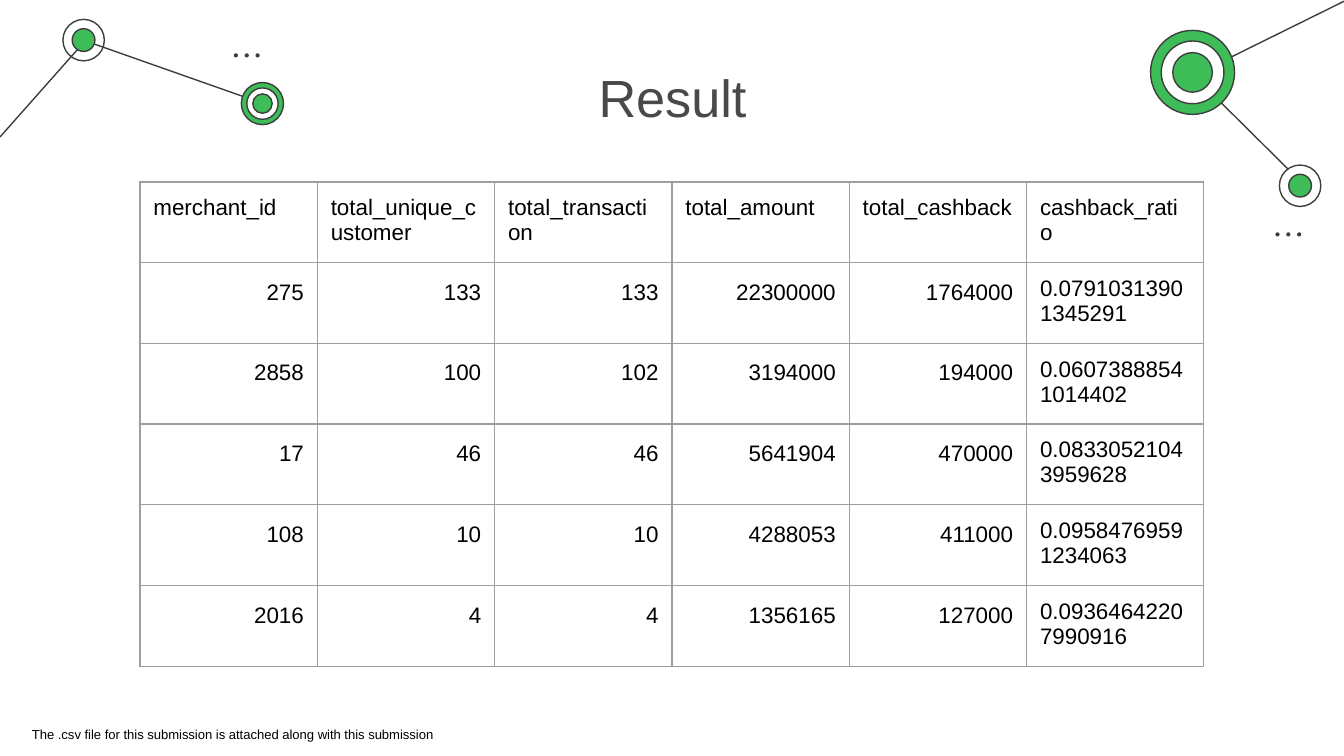
from pptx import Presentation
from pptx.dml.color import RGBColor
from pptx.enum.shapes import MSO_CONNECTOR, MSO_SHAPE
from pptx.enum.text import MSO_ANCHOR, PP_ALIGN
from pptx.oxml import parse_xml
from pptx.oxml.ns import nsdecls
from pptx.util import Pt
from lxml.etree import SubElement

HUES = {"dark": "3D3D3D", "green": "3DBC58", "white": "FFFFFF",
        "title": "494949", "text": "000000", "grid": "9E9E9E"}

deck = Presentation()
deck.slide_width, deck.slide_height = Pt(720), Pt(405)
slide = deck.slides.add_slide(deck.slide_layouts[6])
shapes = slide.shapes


def disc(x, y, size, fill, edge):
    """Draw a circle centred on x, y."""
    dot = shapes.add_shape(MSO_SHAPE.OVAL, Pt(x - size / 2), Pt(y - size / 2),
                           Pt(size), Pt(size))
    dot.shadow.inherit = False
    if fill:
        dot.fill.solid()
        dot.fill.fore_color.rgb = RGBColor.from_string(HUES[fill])
    else:
        dot.fill.background()
    if edge:
        dot.line.color.rgb = RGBColor.from_string(HUES["dark"])
        dot.line.width = Pt(0.75)
    else:
        dot.line.fill.background()


def write(frame, text, size, hue, align=PP_ALIGN.LEFT, space=None):
    """Put one formatted paragraph in a text frame."""
    frame.word_wrap = True
    par = frame.paragraphs[0]
    par.alignment = align
    if space:
        par.line_spacing = space
    run = par.add_run()
    run.text = text
    look = {"name": "Arial", "size": Pt(size), "bold": False}
    for key, value in look.items():
        setattr(run.font, key, value)
    run.font.color.rgb = RGBColor.from_string(HUES[hue])


# Network lines: start x, start y, end x, end y
links = [(696.5, 97, 638.5, 39.5), (46, 22, 141, 55.5),
         (0, 73.4, 46, 21.5), (720, 0.7, 641.5, 39.5)]
for x1, y1, x2, y2 in links:
    link = shapes.add_connector(MSO_CONNECTOR.STRAIGHT,
                                Pt(x1), Pt(y1), Pt(x2), Pt(y2))
    link.line.color.rgb = RGBColor.from_string(HUES["dark"])
    link.line.width = Pt(0.75)
    SubElement(link._element.spPr,
               "{http://schemas.openxmlformats.org/drawingml/2006/main}effectLst")

# Network nodes: centre, then rings from the outside in
nodes = [
    (44.8, 21.5, [(22.2, None), (12.2, "green")]),
    (140.6, 55.5, [(22.6, "green"), (16.8, "white"), (10.4, "green")]),
    (638.9, 38.8, [(45, "green"), (33.6, "white"), (21.2, "green")]),
    (696.5, 99.5, [(22.2, "white"), (12.2, "green")]),
]
for x, y, rings in nodes:
    for size, fill in rings:
        disc(x, y, size, fill, True)

# Dotted accents
for left, y in [(126.4, 29.7), (684.4, 125.6)]:
    for step in range(3):
        disc(left + step * 5.8, y, 2.2, "dark", False)

# Title and footnote
notes = [
    ("Result", 28, "title", PP_ALIGN.CENTER, (123.8, 25.2, 473, 46.8), 10),
    ("The .csv file for this submission is attached along with this submission",
     7, "text", PP_ALIGN.LEFT, (10, 385, 250, 23), 7.2),
]
for text, size, hue, align, box, top in notes:
    frame = shapes.add_textbox(*map(Pt, box)).text_frame
    look = {"margin_left": Pt(7.2), "margin_right": Pt(7.2),
            "margin_top": Pt(top), "margin_bottom": Pt(7.2),
            "vertical_anchor": MSO_ANCHOR.TOP}
    for key, value in look.items():
        setattr(frame, key, value)
    write(frame, text, size, hue, align)

# Result table
rows = [
    ["merchant_id", "total_unique_customer", "total_transaction",
     "total_amount", "total_cashback", "cashback_ratio"],
    ["275", "133", "133", "22300000", "1764000", "0.07910313901345291"],
    ["2858", "100", "102", "3194000", "194000", "0.06073888541014402"],
    ["17", "46", "46", "5641904", "470000", "0.08330521043959628"],
    ["108", "10", "10", "4288053", "411000", "0.09584769591234063"],
    ["2016", "4", "4", "1356165", "127000", "0.09364642207990916"],
]
table = shapes.add_table(len(rows), len(rows[0]), Pt(75), Pt(97.5),
                         Pt(570), Pt(259.2)).table
table.first_row = table.horz_banding = False
for col in table.columns:
    col.width = Pt(95)
for r, row in enumerate(rows):
    table.rows[r].height = Pt(43.2)
    for c, text in enumerate(row):
        cell = table.cell(r, c)
        for side in ("left", "right", "top", "bottom"):
            setattr(cell, "margin_" + side, Pt(7.2))
        number = r > 0 and c < len(row) - 1
        write(cell.text_frame, text, 12, "text",
              PP_ALIGN.RIGHT if number else PP_ALIGN.LEFT,
              1.15 if number else None)
        cell.fill.background()
        props = cell._tc.get_or_add_tcPr()
        for spot, tag in enumerate(("lnL", "lnR", "lnT", "lnB")):
            props.insert(spot, parse_xml(
                f'<a:{tag} {nsdecls("a")} w="{Pt(0.75)}"><a:solidFill>'
                f'<a:srgbClr val="{HUES["grid"]}"/></a:solidFill></a:{tag}>'))

deck.save("out.pptx")
